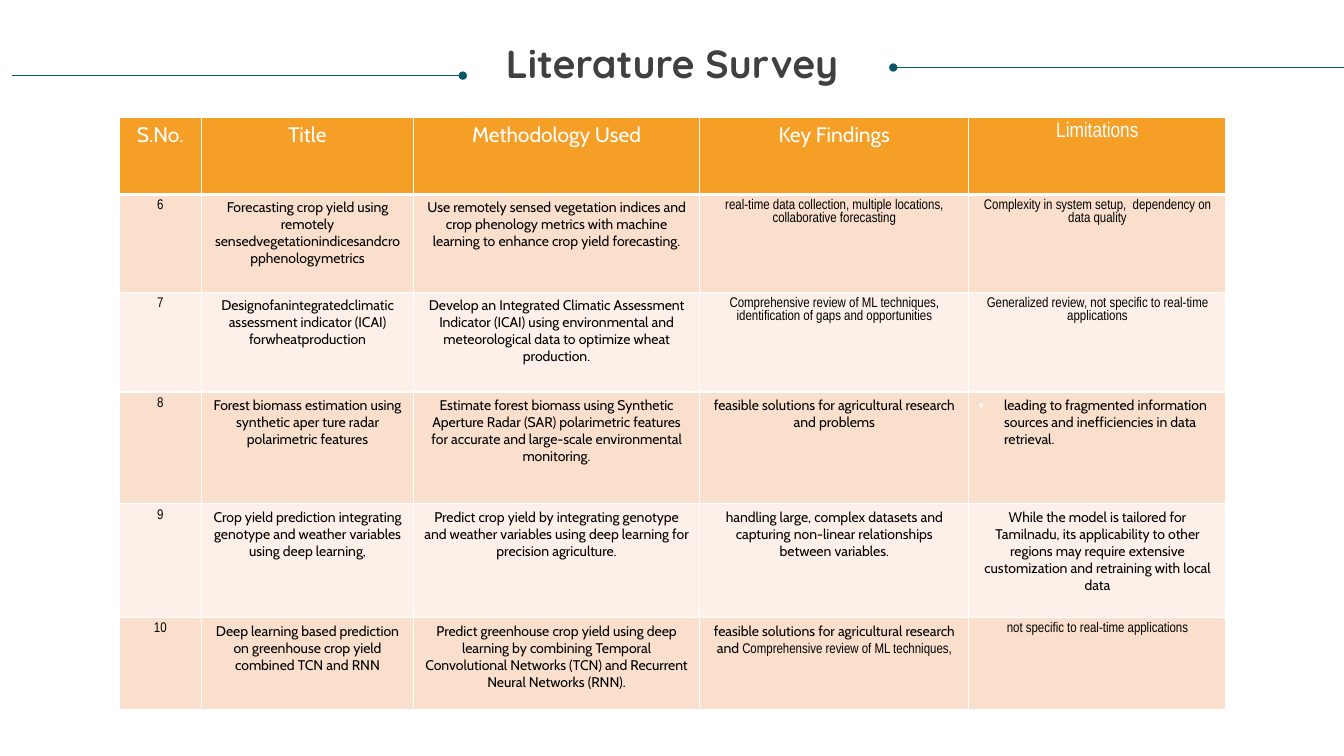
"""Build the Literature Survey slide with its table of papers."""
from dataclasses import dataclass

from lxml import etree
from pptx import Presentation
from pptx.dml.color import RGBColor
from pptx.enum.shapes import MSO_CONNECTOR
from pptx.enum.text import PP_ALIGN
from pptx.oxml.ns import qn
from pptx.util import Inches, Pt

LINE = MSO_CONNECTOR.STRAIGHT
MID = PP_ALIGN.CENTER
LEFT = PP_ALIGN.LEFT


@dataclass(frozen=True)
class Theme:
    """Colours, fonts and type sizes of the slide."""
    teal: str = "085764"
    gray: str = "404040"
    white: str = "FFFFFF"
    black: str = "000000"
    gold: str = "F59F26"
    bands: tuple = ("FDF0E8", "FBDFCD")
    title: str = "Quicksand"
    wide: str = "Cabin"
    slim: str = "Arial Narrow"
    big: int = 28
    head: int = 15
    body: int = 10


THEME = Theme()
COLS = (0.82, 2.1, 2.84, 2.67, 2.55)
ROWS = (0.77, 0.97, 0.99, 1.11, 1.13, 0.91)


def wide(text):
    """Pair a text with the wide font."""
    return text, THEME.wide


def slim(text):
    """Pair a text with the narrow font."""
    return text, THEME.slim


HEADS = (
    [wide("S.No.")], [wide("Title")], [wide("Methodology Used")],
    [wide("Key Findings")], [slim("Limitations")],
)
PAPERS = (
    ([slim("6")],
     [wide("Forecasting crop yield using remotely "
           "sensedvegetationindicesandcropphenologymetrics")],
     [wide("Use remotely sensed vegetation indices and crop phenology metrics "
           "with machine learning to enhance crop yield forecasting.")],
     [slim("real-time data collection, multiple locations, "
           "collaborative forecasting")],
     [slim("Complexity in system setup,  dependency on data quality")]),
    ([slim("7")],
     [wide("Designofanintegratedclimatic assessment indicator (ICAI) "
           "forwheatproduction")],
     [wide("Develop an Integrated Climatic Assessment Indicator (ICAI) using "
           "environmental and meteorological data to optimize wheat "
           "production.")],
     [slim("Comprehensive review of ML techniques, identification of gaps "
           "and opportunities")],
     [slim("Generalized review, not specific to real-time applications")]),
    ([slim("8")],
     [wide("Forest biomass estimation using synthetic aper ture radar "
           "polarimetric features")],
     [wide("Estimate forest biomass using Synthetic Aperture Radar (SAR) "
           "polarimetric features for accurate and large-scale "
           "environmental monitoring.")],
     [wide("feasible solutions for agricultural research and problems")],
     [wide("leading to fragmented information sources and inefficiencies "
           "in data retrieval.")]),
    ([slim("9")],
     [wide("Crop yield prediction integrating genotype and weather variables "
           "using deep learning,")],
     [wide("Predict crop yield by integrating genotype and weather variables "
           "using deep learning for precision agriculture.")],
     [wide("handling large, complex datasets and capturing non-linear "
           "relationships between variables.")],
     [wide("While the model is tailored for Tamilnadu, its applicability to "
           "other regions may require extensive customization and "
           "retraining with local data")]),
    ([slim("10")],
     [wide("Deep learning based prediction on greenhouse crop yield combined "
           "TCN and RNN")],
     [wide("Predict greenhouse crop yield using deep learning by combining "
           "Temporal Convolutional Networks (TCN) and Recurrent Neural "
           "Networks (RNN).")],
     [wide("feasible solutions for agricultural research and "),
      slim("Comprehensive review of ML techniques,")],
     [slim("not specific to real-time applications")]),
)


def add_run(para, text, font, size, color, bold=False):
    """Add one styled run to a paragraph."""
    run = para.add_run()
    run.text = text
    run.font.name = font
    run.font.size = Pt(size)
    run.font.bold = bold
    run.font.color.rgb = RGBColor.from_string(color)


def add_rule(slide, start, end, top):
    """Draw a thin level line with a dot at its start."""
    rule = slide.shapes.add_connector(
        LINE, Inches(start), Inches(top), Inches(end), Inches(top))
    rule.line.color.rgb = RGBColor.from_string(THEME.teal)
    rule.line.width = Pt(0.5)
    etree.SubElement(rule.line._get_or_add_ln(), qn("a:headEnd"), type="oval")
    etree.SubElement(rule._element.spPr, qn("a:effectLst"))


def add_title(slide, text):
    """Place the centred slide title."""
    box = slide.shapes.add_textbox(
        Inches(0.25), Inches(0.44), Inches(12.83), Inches(0.85))
    frame = box.text_frame
    frame.word_wrap = True
    frame.margin_left = frame.margin_right = 0
    frame.margin_top = frame.margin_bottom = 0
    para = frame.paragraphs[0]
    para.alignment = MID
    para.line_spacing = 0.9
    add_run(para, text, THEME.title, THEME.big, THEME.gray, True)


def add_edge(cell, side, width):
    """Draw one white border of a cell."""
    props = cell._tc.get_or_add_tcPr()
    edge = etree.SubElement(props, qn(f"a:ln{side}"), w=str(Pt(width)))
    fill = etree.SubElement(edge, qn("a:solidFill"))
    etree.SubElement(fill, qn("a:srgbClr"), val=THEME.white)


def fill_cell(cell, runs, row):
    """Set borders, fill and text of a cell by its row."""
    widths = {"L": 1, "R": 1, "T": 3 if row == 1 else 1,
              "B": 3 if row == 0 else 1}
    for side, width in widths.items():
        add_edge(cell, side, width)
    back = THEME.bands[row % 2] if row else THEME.gold
    size, ink = (THEME.body, THEME.black) if row else (THEME.head, THEME.white)
    cell.fill.solid()
    cell.fill.fore_color.rgb = RGBColor.from_string(back)
    para = cell.text_frame.paragraphs[0]
    para.alignment = MID
    for text, font in runs:
        add_run(para, text, font, size, ink)


def add_point(para):
    """Turn a paragraph into a point with a white bullet."""
    para.alignment = LEFT
    para.space_before = Pt(10)
    props = para._p.get_or_add_pPr()
    props.set("marL", str(Inches(0.25)))
    props.set("indent", str(Inches(-0.25)))
    tint = etree.SubElement(props, qn("a:buClr"))
    etree.SubElement(tint, qn("a:srgbClr"), val=THEME.white)
    etree.SubElement(props, qn("a:buFont"), typeface="Arial")
    etree.SubElement(props, qn("a:buChar"), char="•")


def add_grid(slide, lines):
    """Add the table and return it."""
    grid = slide.shapes.add_table(
        len(ROWS), len(COLS), Inches(1.18), Inches(1.16),
        Inches(sum(COLS)), Inches(sum(ROWS))).table
    grid.first_row = grid.horz_banding = False
    for col, width in zip(grid.columns, COLS):
        col.width = Inches(width)
    for row, height in zip(grid.rows, ROWS):
        row.height = Inches(height)
    for row, line in enumerate(lines):
        for col, runs in enumerate(line):
            fill_cell(grid.cell(row, col), runs, row)
    return grid


def main():
    """Build and save the slide."""
    deck = Presentation()
    deck.slide_width, deck.slide_height = Inches(13.33), Inches(7.5)
    slide = deck.slides.add_slide(deck.slide_layouts[6])
    add_rule(slide, 8.86, 13.33, 0.67)
    add_rule(slide, 4.59, 0.12, 0.75)
    add_title(slide, "Literature Survey")
    grid = add_grid(slide, (HEADS, *PAPERS))
    add_point(grid.cell(3, 4).text_frame.paragraphs[0])
    deck.save("out.pptx")


if __name__ == "__main__":
    main()
